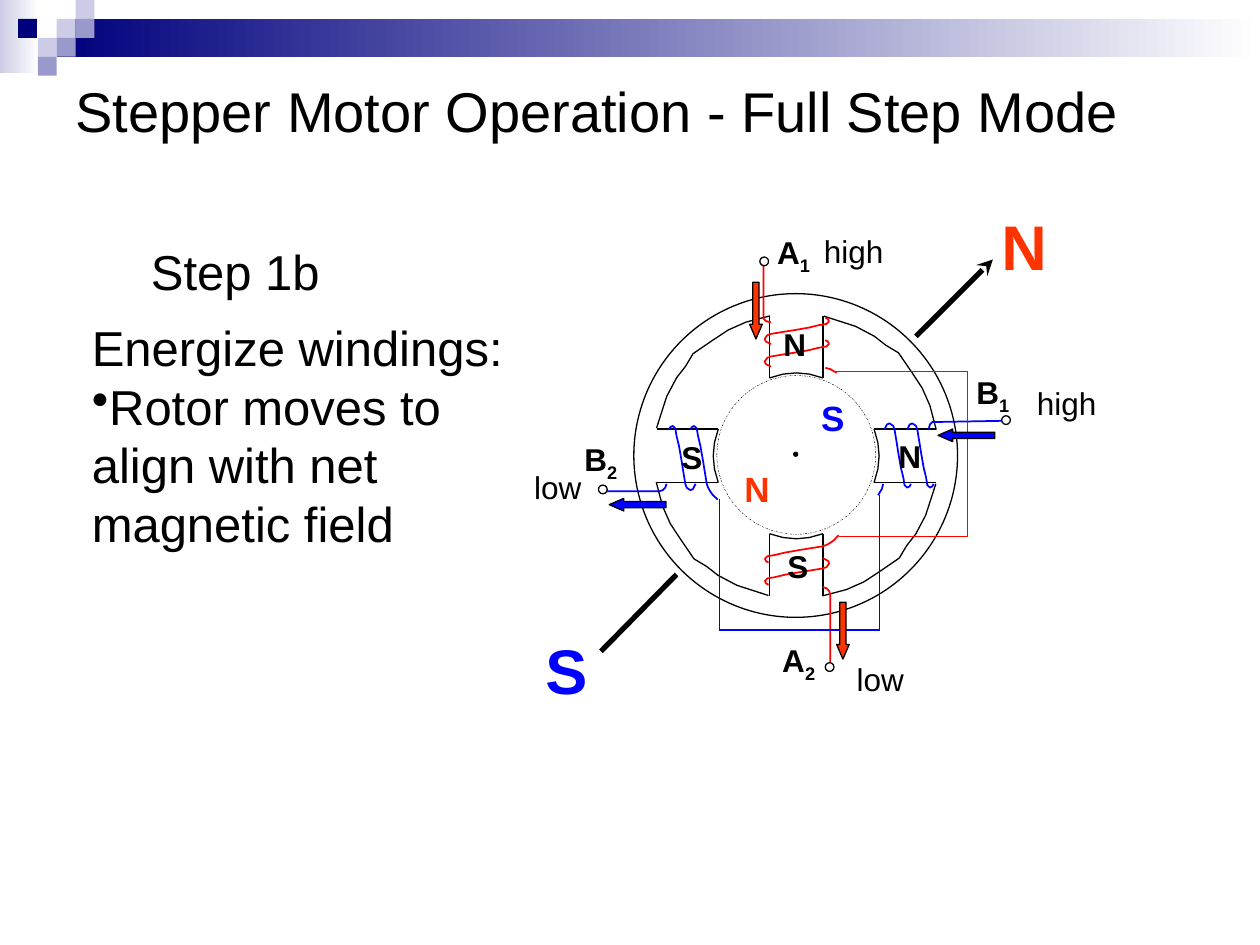
from dataclasses import dataclass
from typing import NamedTuple

from lxml.etree import SubElement
from pptx import Presentation
from pptx.dml.color import RGBColor as RGB
from pptx.enum.dml import MSO_LINE as Dash
from pptx.enum.shapes import MSO_CONNECTOR as Conn, MSO_SHAPE as Shp
from pptx.enum.text import MSO_ANCHOR as Anchor, MSO_AUTO_SIZE as Auto, PP_ALIGN as Align
from pptx.oxml.ns import qn
from pptx.util import Pt


@dataclass(frozen=True)
class Theme:
    """Colours, font and type sizes of the slide."""
    font: str = "Arial"
    black: str = "000000"
    white: str = "FFFFFF"
    red: str = "FF0000"
    orange: str = "FF3300"
    blue: str = "0000FF"
    navy: str = "00007D"
    pale: str = "CCCCE6"
    mid: str = "9999CC"
    title: int = 32
    body: int = 28
    pole: int = 36
    rotor: int = 20
    label: int = 18


class Label(NamedTuple):
    """A short text with its box and format."""
    text: str
    box: tuple
    size: int = 18
    color: str = "000000"
    bold: bool = True
    sub: str = ""
    wrap: bool = True


class Coil(NamedTuple):
    """One winding loop: start point, quarter turns and colour."""
    start: tuple
    turns: int
    color: str
    long: bool = False


T = Theme()
CENTRE = (455, 260.5)
POLE_ARC = [(-15.3, -44.5), (-7.5, -46.7), (0, -47.4), (7.5, -46.7), (15.3, -44.5)]
STATOR = [(15.9, -79.8), (33.9, -74), (44.7, -68.3), (51.2, -63.2), (58.4, -58.9),
          (66.3, -47.4), (72, -38.7), (76.4, -28.7), (80, -15)]
SHORT_END = [(0, 0), (-2.9, -1.4), (-3.6, -2.9), (-2.2, -5)]
LONG_END = [(-9, 0.5), (-6.3, -2.4), (-4.3, -3.8), (-2.2, -5)]
WRAP = [(0, -5.8), (8.6, -7.2), (13, -7.9), (21.6, -9.4), (27.4, -10.8), (31.7, -11.5),
        (33.1, -13), (32.4, -14.4), (31, -15.1)]
COILS = [Coil((518.4, 245.5), 1, T.blue), Coil((505.4, 245.5), 1, T.blue),
         Coil((470.2, 306.4), 2, T.red, True), Coil((470.2, 319), 2, T.red),
         Coil((440.6, 196.6), 0, T.red), Coil((440.6, 209.5), 0, T.red),
         Coil((409.7, 276.5), 3, T.blue, True), Coil((397.4, 276.5), 3, T.blue)]
LEADS = [
    (T.blue, [(573.1, 240.5), (535, 241.2), (532.8, 241.2), (531.4, 242.6), (530.6, 245.5)]),
    (T.blue, [(504.7, 276.5), (504, 279.4), (501.8, 283)]),
    (T.red, [(474.5, 383), (474.5, 339.8), (473.8, 337.7), (472.3, 336.2), (470.2, 335.5)]),
    (T.red, [(436.3, 150.5), (436.3, 182.2), (437.8, 183.6), (440.6, 184.3)]),
    (T.red, [(471.6, 210.2), (474.5, 211), (478.1, 213.1)]),
    (T.blue, [(345.6, 280.8), (376.6, 280.8), (378.7, 280.1), (380.2, 278.6), (380.9, 276.5)])]
WIRES = [(T.red, [(477.4, 212.4), (553, 212.4), (553, 306.7), (479.5, 306.7)]),
         (T.blue, [(502.6, 283), (502.6, 360), (411.1, 360), (411.1, 285.1)])]
TERMINALS = [(434.2, 146.9), (572.4, 237.6), (471.6, 378.7), (342, 277.2)]
ARROWS = [(428.4, 161.3, T.orange, 0), (478.1, 344.2, T.orange, 0),
          (548.6, 232.6, T.blue, 90), (360.7, 272.2, T.blue, 90)]
TAG = (41.8, 29.5)
LABELS = [
    Label("A", (437, 129.6, *TAG), sub="1"), Label("B", (550.8, 209.5, *TAG), sub="1"),
    Label("A", (439.9, 362.9, *TAG), sub="2"), Label("B", (326.9, 247.7, *TAG), sub="2"),
    Label("N", (440.6, 182.2, *TAG)), Label("S", (442.8, 308.9, *TAG)),
    Label("N", (506.2, 246.2, *TAG)), Label("S", (382.3, 247, *TAG)),
    Label("low", (482.4, 373.7, 41.8, 28.8), T.label, bold=False, wrap=False),
    Label("high", (463.7, 128.9, 48.2, 28.8), T.label, bold=False, wrap=False),
    Label("low", (298.1, 264.2, 41.8, 28.8), T.label, bold=False, wrap=False),
    Label("high", (585.4, 216, 48.2, 28.8), T.label, bold=False, wrap=False),
    Label("N", (565.2, 115.2, 40.3, 50.4), T.pole, T.orange, wrap=False),
    Label("S", (304.6, 357.1, 38.2, 50.4), T.pole, T.blue, wrap=False),
    Label("Step 1b", (79.2, 134.6, 110.9, 41), T.body, bold=False, wrap=False),
    Label("N", (418.3, 263.5, 28.8, 31), T.rotor, T.orange, wrap=False),
    Label("S", (462.2, 223.2, 28.1, 31), T.rotor, T.blue, wrap=False)]


def apply(obj, **values) -> None:
    """Set every given attribute on an object."""
    for name, value in values.items():
        setattr(obj, name, value)


def style(r, size: int, color: str = T.black, bold: bool = False) -> None:
    """Format a run."""
    apply(r.font, name=T.font, size=Pt(size), bold=bold)
    r.font.color.rgb = RGB.from_string(color)


def turn(points: list, turns: int, origin: tuple) -> list:
    """Rotate points by quarter turns and move them to an origin."""
    for _ in range(turns):
        points = [(-y, x) for x, y in points]
    return [(origin[0] + x, origin[1] + y) for x, y in points]


def shape(s, kind, box: tuple, fill: str = "", line: str = "", width: float = 0.75):
    """Add a preset shape."""
    sp = s.shapes.add_shape(kind, *map(Pt, box))
    sp.shadow.inherit = False
    if fill:
        sp.fill.solid()
        sp.fill.fore_color.rgb = RGB.from_string(fill)
    else:
        sp.fill.background()
    if line:
        sp.line.color.rgb = RGB.from_string(line)
        sp.line.width = Pt(width)
    else:
        sp.line.fill.background()
    return sp


def fade(s, box: tuple, color: str) -> None:
    """Add a band that fades to white on the right."""
    sp = shape(s, Shp.RECTANGLE, box)
    sp.fill.gradient()
    sp.fill.gradient_angle = 0
    for stop, value in zip(sp.fill.gradient_stops, (color, T.white)):
        stop.color.rgb = RGB.from_string(value)


def curve(s, points: list, color: str, width: float) -> None:
    """Add an open outline through the points."""
    (x, y), *rest = points
    fb = s.shapes.build_freeform(Pt(x), Pt(y))
    fb.add_line_segments([(Pt(a), Pt(b)) for a, b in rest], close=False)
    sp = fb.convert_to_shape()
    sp.shadow.inherit = False
    sp.fill.background()
    sp.line.color.rgb = RGB.from_string(color)
    sp.line.width = Pt(width)


def line(s, start: tuple, end: tuple, color: str = T.black, width: float = 0.75,
         head: str = "") -> None:
    """Add a straight line, with an arrowhead at its end if named."""
    c = s.shapes.add_connector(Conn.STRAIGHT, *map(Pt, (*start, *end)))
    c.line.color.rgb = RGB.from_string(color)
    c.line.width = Pt(width)
    if head:
        SubElement(c.line._get_or_add_ln(), qn("a:tailEnd"), type=head)
    SubElement(c._element.spPr, qn("a:effectLst"))


def label(s, item: Label) -> None:
    """Add a label with an optional subscript."""
    tf = s.shapes.add_textbox(*map(Pt, item.box)).text_frame
    apply(tf, word_wrap=item.wrap,
          auto_size=Auto.NONE if item.wrap else Auto.SHAPE_TO_FIT_TEXT)
    for text in filter(None, (item.text, item.sub)):
        r = tf.paragraphs[0].add_run()
        r.text = text
        style(r, item.size, item.color, item.bold)
    if item.sub:
        r._r.get_or_add_rPr().set("baseline", "-25000")


def header(s) -> None:
    """Draw the band and the squares at the top and set the title."""
    fade(s, (0, 0, 22.3, 41.8), T.pale)
    fade(s, (32.4, 10.8, 687.6, 21.6), T.navy)
    for x, y, color in [(32.4, 10.8, T.pale), (43.2, 0, T.pale), (43.2, 10.8, T.mid),
                        (21.6, 21.6, T.pale), (10.3, 10.8, T.navy), (32.4, 21.6, T.mid),
                        (21.6, 32.4, T.mid)]:
        shape(s, Shp.RECTANGLE, (x, y, 10.8, 10.8), color)
    sp = s.shapes.title
    apply(sp, left=Pt(36), top=Pt(36), width=Pt(648), height=Pt(54))
    tf = sp.text_frame
    tf.text = "Stepper Motor Operation - Full Step Mode"
    apply(tf, vertical_anchor=Anchor.MIDDLE, word_wrap=True, auto_size=Auto.NONE)
    tf.paragraphs[0].alignment = Align.LEFT
    style(tf.paragraphs[0].runs[0], T.title)


def motor(s) -> None:
    """Draw the stator, windings, wires, rotor and field direction."""
    shape(s, Shp.OVAL, (362.2, 167.8, 185, 185), T.white, T.black)
    for turns in range(4):
        for x in (-15.3, 15.3):
            line(s, *turn([(x, -79.8), (x, -44.5)], turns, CENTRE))
        for points in (POLE_ARC, STATOR):
            curve(s, turn(points, turns, CENTRE), T.black, 0.75)
    for coil in COILS:
        points = (LONG_END if coil.long else SHORT_END) + WRAP
        curve(s, turn(points, coil.turns, coil.start), coil.color, 1)
    for color, points in LEADS:
        curve(s, points, color, 1)
    for color, points in WIRES:
        for start, end in zip(points, points[1:]):
            line(s, start, end, color)
    for x, y in TERMINALS:
        shape(s, Shp.OVAL, (x, y, 5, 5), T.white, T.black)
    line(s, (523.4, 192.2), (567.4, 148.3), width=3, head="stealth")
    line(s, (343.4, 372.2), (386.6, 328.3), width=3)
    shape(s, Shp.OVAL, (453.6, 258.5, 2.2, 2.2), T.black, T.black)
    rotor = shape(s, Shp.OVAL, (409.7, 214.6, 90.7, 90.7), line=T.black, width=0.25)
    rotor.line.dash_style = Dash.DASH_DOT
    for x, y, color, angle in ARROWS:
        sp = shape(s, Shp.DOWN_ARROW, (x, y, 7.2, 32.4), color, T.black)
        sp.rotation = angle
        sp.adjustments[1] = 1.16


def notes(s) -> None:
    """Add the explanation with its bullet."""
    tf = s.shapes.add_textbox(*map(Pt, (45.4, 177.8, 249.8, 141.8))).text_frame
    apply(tf, word_wrap=True, auto_size=Auto.SHAPE_TO_FIT_TEXT)
    tf.text = "Energize windings:\nRotor moves to align with net magnetic field"
    for p in tf.paragraphs:
        style(p.runs[0], T.body)
        apply(p._p.get_or_add_pPr(), marL=Pt(18.7), indent=Pt(-18.7))
    SubElement(p._p.get_or_add_pPr(), qn("a:buChar"), char="•")


def main() -> None:
    """Build and save the slide."""
    prs = Presentation()
    apply(prs, slide_width=Pt(720), slide_height=Pt(540))
    s = prs.slides.add_slide(prs.slide_layouts[5])
    header(s)
    motor(s)
    for item in LABELS:
        label(s, item)
    notes(s)
    prs.save("out.pptx")


if __name__ == "__main__":
    main()
